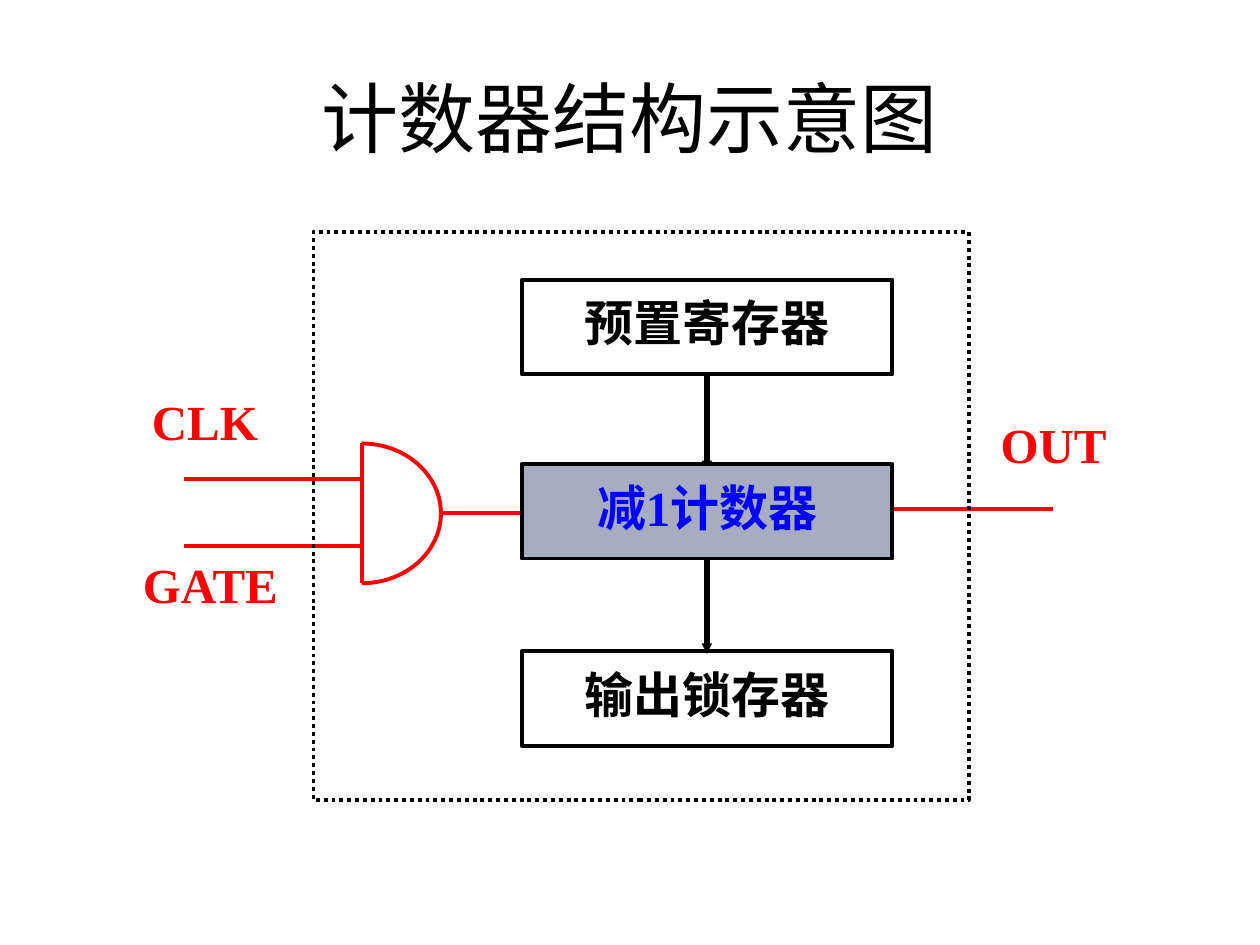
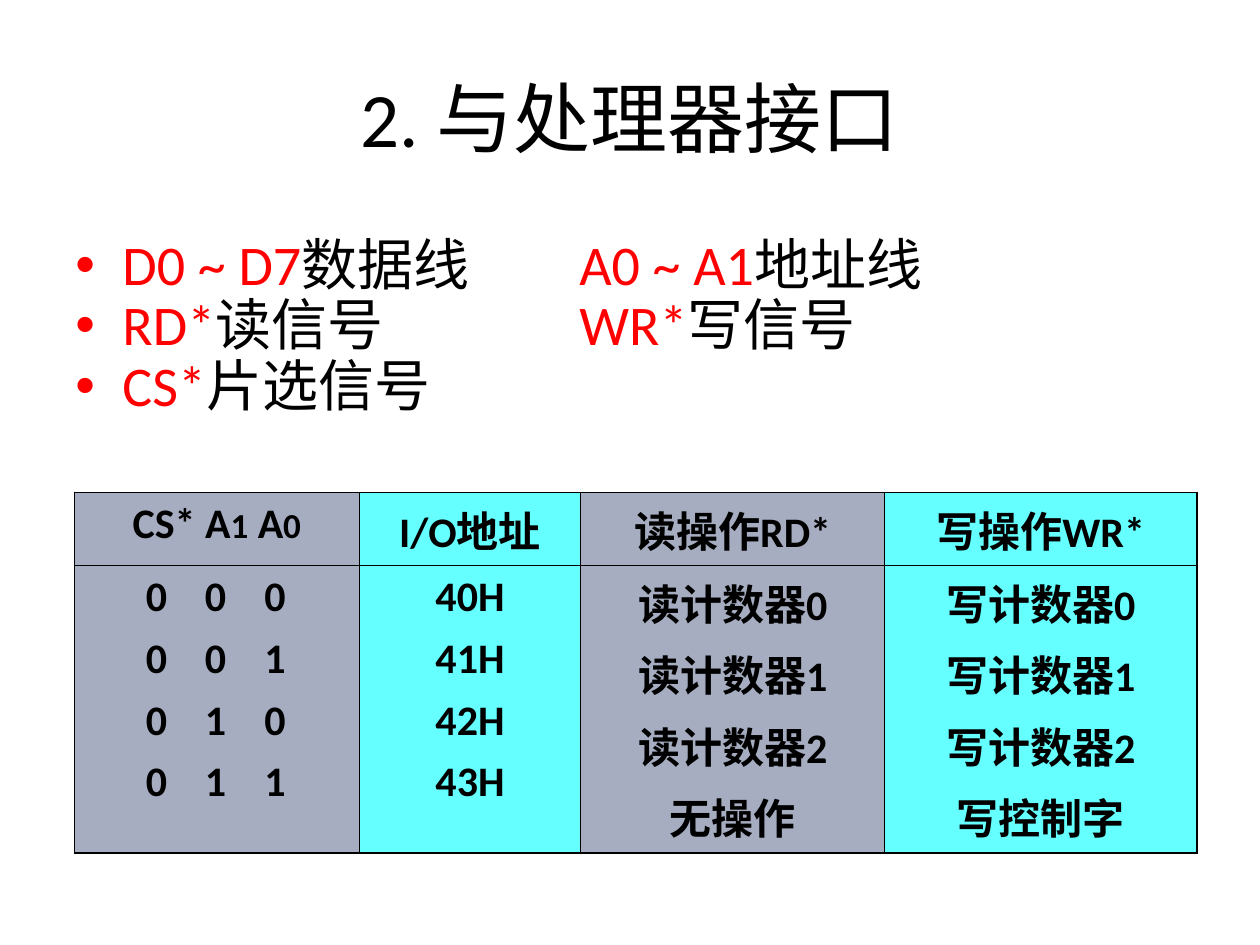
import math
from lxml import etree
from pptx import Presentation
from pptx import util as u
from pptx.dml.color import RGBColor
from pptx.enum import dml, shapes, text
from pptx.oxml import ns

COLORS = {"black": "000000", "red": "FF0000", "blue": "0000FF",
          "gray": "A6ADC0", "cyan": "66FFFF"}
LINE_WIDTH = 2.25


def write(frame, paragraphs, font="Calibri", size=24, color="black", bold=False,
          align="CENTER", anchor="TOP", inset=None, spacing=None, before=0,
          bullet=None, tabs=(), tab_align="l"):
    frame.word_wrap = True
    frame.vertical_anchor = text.MSO_ANCHOR[anchor]
    if inset is not None:
        frame.margin_left = frame.margin_right = u.Cm(inset)
        frame.margin_top = frame.margin_bottom = u.Cm(inset)
    for index, runs in enumerate(paragraphs):
        paragraph = frame.paragraphs[0] if index == 0 else frame.add_paragraph()
        properties = paragraph._p.get_or_add_pPr()
        if bullet:
            properties.set("marL", str(u.Cm(0.95)))
            properties.set("indent", str(-u.Cm(0.95)))
            bullet_color = etree.SubElement(properties, ns.qn("a:buClr"))
            etree.SubElement(bullet_color, ns.qn("a:srgbClr"), val=COLORS["red"])
            etree.SubElement(properties, ns.qn("a:buFont"), typeface="Arial")
            etree.SubElement(properties, ns.qn("a:buChar"), char=bullet)
        if tabs:
            tab_list = etree.SubElement(properties, ns.qn("a:tabLst"))
            for position in tabs:
                etree.SubElement(tab_list, ns.qn("a:tab"), pos=str(u.Cm(position)), algn=tab_align)
        paragraph.alignment = text.PP_ALIGN[align]
        if spacing:
            paragraph.line_spacing = spacing
        if index and before:
            paragraph.space_before = u.Pt(before)
        for content, changes in [(runs, {})] if isinstance(runs, str) else runs:
            run = paragraph.add_run()
            run.text = content
            run.font.name = changes.get("font", font)
            run.font.size = u.Pt(changes.get("size", size))
            run.font.bold = bold
            run.font.color.rgb = RGBColor.from_string(COLORS[changes.get("color", color)])


def add_line(slide, start, end, color="red", width=LINE_WIDTH, arrow=False):
    connector = slide.shapes.add_connector(
        shapes.MSO_CONNECTOR.STRAIGHT, *(u.Cm(value) for value in start + end))
    connector.line.color.rgb = RGBColor.from_string(COLORS[color])
    connector.line.width = u.Pt(width)
    if arrow:
        etree.SubElement(connector.line._get_or_add_ln(), ns.qn("a:tailEnd"),
                         type="triangle", w="sm", len="sm")
    etree.SubElement(connector._element.spPr, ns.qn("a:effectLst"))


presentation = Presentation()
presentation.slide_width = u.Cm(25.4)
presentation.slide_height = u.Cm(19.05)
slides = []
for title in ["计数器结构示意图", "2. 与处理器接口"]:
    slide = presentation.slides.add_slide(presentation.slide_layouts[6])
    title_box = slide.shapes.add_textbox(u.Cm(1.27), u.Cm(0.76), u.Cm(22.86), u.Cm(3.18))
    write(title_box.text_frame, [title], size=44, anchor="MIDDLE")
    slides.append(slide)
structure_slide, interface_slide = slides

for top, bottom in [(7.54, 9.5), (11.23, 13.18)]:
    add_line(structure_slide, (14.25, top), (14.25, bottom), "black", 3, arrow=True)

gate_left, gate_middle, gate_width, gate_half = 7.29, 10.35, 1.6, 1.41
for direction in (-1, 1):
    points = []
    for step in range(25):
        angle = math.pi / 2 * step / 24
        points.append((u.Cm(gate_left + gate_width * math.sin(angle)),
                       u.Cm(gate_middle + direction * gate_half * math.cos(angle))))
    builder = structure_slide.shapes.build_freeform(*points[0], scale=1.0)
    builder.add_line_segments(points[1:], close=False)
    shape = builder.convert_to_shape()
    shape.shadow.inherit = False
    shape.fill.background()
    shape.line.color.rgb = RGBColor.from_string(COLORS["red"])
    shape.line.width = u.Pt(LINE_WIDTH)

gate_right = gate_left + gate_width
for start, end in [
    ((gate_left, gate_middle - gate_half), (gate_left, gate_middle + gate_half)),
    ((gate_right, gate_middle), (10.59, gate_middle)),
    ((3.71, 9.65), (gate_left, 9.65)),
    ((3.71, 11.01), (gate_left, 11.01)),
    ((17.98, 10.26), (21.23, 10.26)),
]:
    add_line(structure_slide, start, end)

for label, left, top, width, height, fill, color in [
    (None, 6.32, 4.67, 13.21, 11.46, None, None),
    ("预置寄存器", 10.52, 5.64, 7.47, 1.91, None, "black"),
    ("减1计数器", 10.52, 9.35, 7.47, 1.91, "gray", "blue"),
    ("输出锁存器", 10.52, 13.13, 7.47, 1.91, None, "black"),
]:
    shape = structure_slide.shapes.add_shape(
        shapes.MSO_SHAPE.RECTANGLE, u.Cm(left), u.Cm(top), u.Cm(width), u.Cm(height))
    shape.shadow.inherit = False
    shape.line.color.rgb = RGBColor.from_string(COLORS["black"])
    shape.line.width = u.Pt(LINE_WIDTH)
    if fill:
        shape.fill.solid()
        shape.fill.fore_color.rgb = RGBColor.from_string(COLORS[fill])
    else:
        shape.fill.background()
    if label:
        write(shape.text_frame, [label], font="Times New Roman", size=28, color=color,
              bold=True, inset=0.03, spacing=1.2)
    else:
        shape.line.dash_style = dml.MSO_LINE.ROUND_DOT

for label, left, top, width, height in [
    ("GATE", 2.26, 11.15, 3.96, 1.88),
    ("CLK", 2.54, 7.87, 3.18, 1.65),
    ("OUT", 19.69, 8.33, 3.1, 1.98),
]:
    label_box = structure_slide.shapes.add_textbox(
        u.Cm(left), u.Cm(top), u.Cm(width), u.Cm(height))
    write(label_box.text_frame, [label], font="Times New Roman", size=28, color="red",
          bold=True, inset=0.03)

signal = {"color": "red"}
meaning = {"font": "Times New Roman"}
signals_box = interface_slide.shapes.add_textbox(u.Cm(1.27), u.Cm(4.65), u.Cm(23.04), u.Cm(4.09))
write(signals_box.text_frame, [
    [("D0 ~ D7", signal), ("数据线\t", meaning), ("A0 ~ A1", signal), ("地址线", meaning)],
    [("RD*", signal), ("读信号\t", meaning), ("WR*", signal), ("写信号", meaning)],
    [("CS*", signal), ("片选信号", meaning)],
], size=32, align="LEFT", spacing=0.9, bullet="•", tabs=[10.16])

small = {"size": 20}
headers = [[("CS* A", {}), ("1", small), (" A", {}), ("0", small)],
           "I/O地址", "读操作RD*", "写操作WR*"]
columns = [
    ["\t0\t0\t0", "\t0\t0\t1", "\t0\t1\t0", "\t0\t1\t1"],
    ["40H", "41H", "42H", "43H"],
    ["读计数器0", "读计数器1", "读计数器2", "无操作"],
    ["写计数器0", "写计数器1", "写计数器2", "写控制字"],
]
column_widths = [5.74, 4.47, 6.12, 6.3]
row_heights = [1.47, 5.79]
table = interface_slide.shapes.add_table(
    2, 4, u.Cm(1.5), u.Cm(9.93), u.Cm(sum(column_widths)), u.Cm(sum(row_heights))).table
table.first_row = table.horz_banding = False
for row, height in zip(table.rows, row_heights):
    row.height = u.Cm(height)
for column_index, width in enumerate(column_widths):
    table.columns[column_index].width = u.Cm(width)
    for row_index, paragraphs in enumerate([[headers[column_index]], columns[column_index]]):
        cell = table.cell(row_index, column_index)
        bit_row = row_index == 1 and column_index == 0
        write(cell.text_frame, paragraphs, bold=True, before=6,
              align="LEFT" if bit_row else "CENTER",
              tabs=[1.4, 2.59, 3.79] if bit_row else (), tab_align="ctr")
        outer_edges = {"L": column_index == 0, "R": column_index == 3,
                       "T": row_index == 0, "B": row_index == 1}
        for side, is_outer in outer_edges.items():
            border = etree.SubElement(cell._tc.get_or_add_tcPr(), ns.qn(f"a:ln{side}"),
                                      w=str(u.Pt(1.08 if is_outer else 0.75)))
            border_fill = etree.SubElement(border, ns.qn("a:solidFill"))
            etree.SubElement(border_fill, ns.qn("a:srgbClr"), val=COLORS["black"])
        cell.fill.solid()
        cell.fill.fore_color.rgb = RGBColor.from_string(COLORS[("gray", "cyan")[column_index % 2]])

presentation.save("out.pptx")
